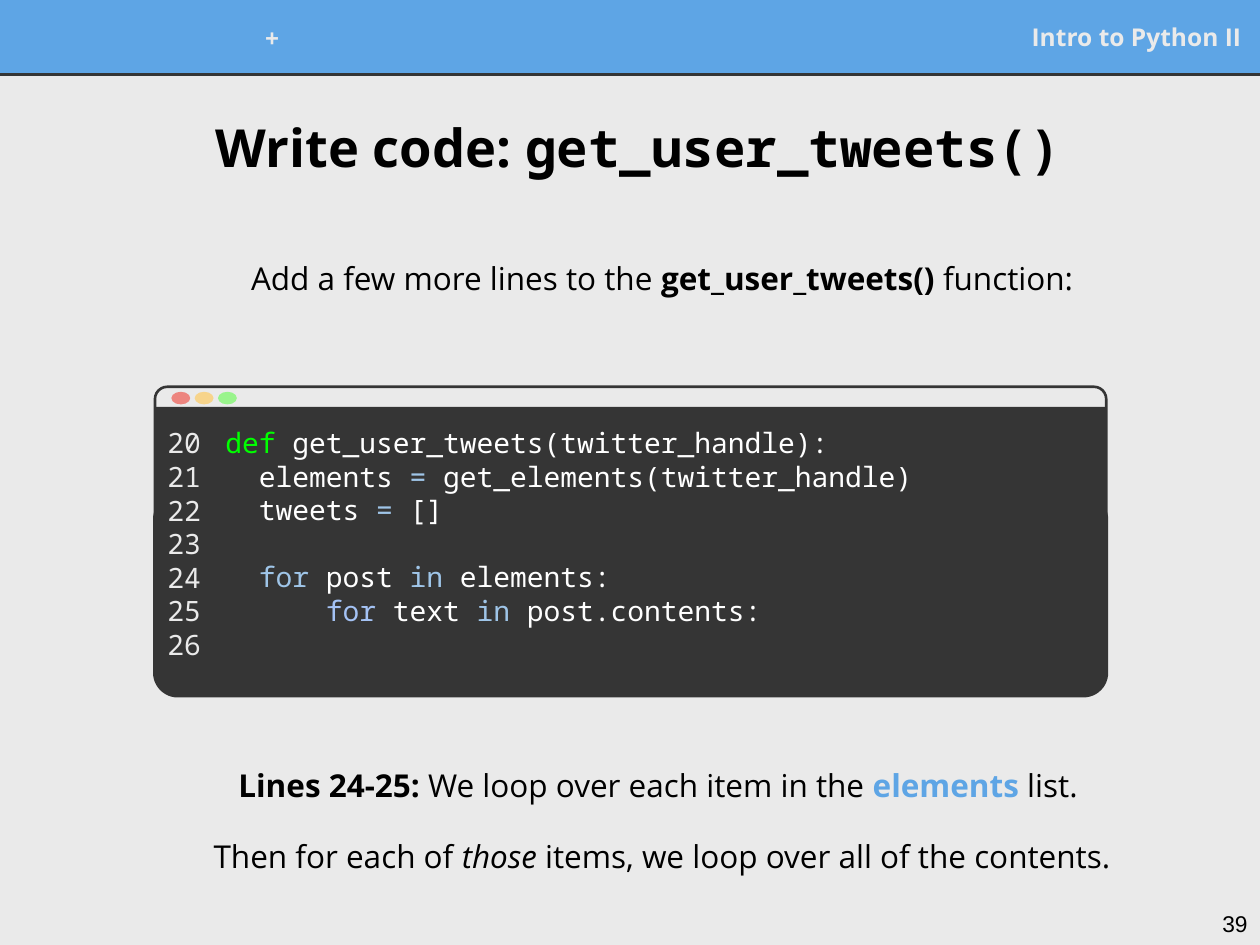
from typing import NamedTuple, Optional

from lxml.etree import SubElement
from pptx import Presentation
from pptx.dml.color import RGBColor
from pptx.enum.shapes import MSO_CONNECTOR, MSO_SHAPE
from pptx.enum.text import MSO_ANCHOR as Anchor, PP_ALIGN as Align
from pptx.oxml.ns import qn
from pptx.util import Inches, Pt

BLUE = RGBColor(0x5E, 0xA5, 0xE5)
DARK = RGBColor(0x35, 0x35, 0x35)
PALE = RGBColor(0xEA, 0xEA, 0xEA)
BLACK = RGBColor(0, 0, 0)
WHITE = RGBColor(0xFF, 0xFF, 0xFF)
GREEN = RGBColor(0, 0xFF, 0)
SKY = RGBColor(0x9F, 0xC5, 0xE8)
PERIWINKLE = RGBColor(0xA4, 0xC2, 0xF4)
BUTTON_COLORS = (
    RGBColor(0xED, 0x85, 0x7F),
    RGBColor(0xF7, 0xD4, 0x8B),
    RGBColor(0x99, 0xF4, 0x8C),
)
SANS = "Open Sans"
MONO = "Noto Sans Mono"


class Span(NamedTuple):
    """A run of text; unset fields take the format of its box."""
    text: str
    color: Optional[RGBColor] = None
    bold: Optional[bool] = None
    italic: Optional[bool] = None
    font: Optional[str] = None


class Line(NamedTuple):
    spans: list[Span]
    space_before: float = 0


class Area(NamedTuple):
    left: float
    top: float
    width: float
    height: float

    def lengths(self) -> list[int]:
        return [Inches(value) for value in self]


def add_text(shapes, area: Area, lines: list[Line], *, size: float,
             font: str = SANS, color: RGBColor = BLACK, bold: bool = False,
             align: Align = Align.LEFT, anchor: Anchor = Anchor.MIDDLE,
             indent: float = 0):
    frame = shapes.add_textbox(*area.lengths()).text_frame
    frame.word_wrap = True
    frame.vertical_anchor = anchor
    frame.margin_left = frame.margin_right = Inches(0.1)
    frame.margin_top = frame.margin_bottom = Inches(0.1)
    for index, line in enumerate(lines):
        para = frame.add_paragraph() if index else frame.paragraphs[0]
        para.alignment = align
        if line.space_before:
            para.space_before = Pt(line.space_before)
        if indent:
            properties = para._p.get_or_add_pPr()
            properties.set("marL", str(Inches(indent)))
            properties.set("indent", "0")
        for span in line.spans:
            run = para.add_run()
            run.text = span.text
            run.font.size = Pt(size)
            run.font.name = span.font or font
            run.font.color.rgb = span.color or color
            run.font.bold = bold if span.bold is None else span.bold
            run.font.italic = span.italic


def add_shape(shapes, kind: MSO_SHAPE, area: Area, *,
              fill: Optional[RGBColor] = None, line: Optional[RGBColor] = None,
              line_width: float = 0.75, corner: Optional[float] = None):
    shape = shapes.add_shape(kind, *area.lengths())
    shape.shadow.inherit = False
    if corner is not None:
        shape.adjustments[0] = corner
    if fill is None:
        shape.fill.background()
    else:
        shape.fill.solid()
        shape.fill.fore_color.rgb = fill
    if line is None:
        shape.line.fill.background()
    else:
        shape.line.color.rgb = line
        shape.line.width = Pt(line_width)


def add_header(shapes):
    add_shape(shapes, MSO_SHAPE.RECTANGLE, Area(0, 0, 10, 0.59),
              fill=BLUE, line=BLUE)
    rule = shapes.add_connector(MSO_CONNECTOR.STRAIGHT, Inches(0),
                                Inches(0.59), Inches(10), Inches(0.59))
    rule.line.color.rgb = DARK
    rule.line.width = Pt(1.5)
    SubElement(rule._element.spPr, qn("a:effectLst"))
    add_text(shapes, Area(6.24, 0.1, 3.71, 0.38),
             [Line([Span("Intro to Python II")])],
             size=14, color=PALE, bold=True, align=Align.RIGHT)
    add_text(shapes, Area(1.86, 0.11, 0.6, 0.38), [Line([Span("+")])],
             size=14, color=PALE, bold=True, align=Align.CENTER)


def add_code_window(shapes):
    left, width = 1.23, 7.55
    add_shape(shapes, MSO_SHAPE.ROUNDED_RECTANGLE, Area(left, 3.07, width, 1.77),
              line=DARK, line_width=1.5, corner=0.055)
    add_shape(shapes, MSO_SHAPE.RECTANGLE, Area(left, 3.23, width, 2.11),
              fill=DARK)
    add_shape(shapes, MSO_SHAPE.ROUNDED_RECTANGLE, Area(left, 3.94, width, 1.58),
              fill=DARK, line=DARK, line_width=2.25, corner=0.115)
    for index, color in enumerate(BUTTON_COLORS):
        add_shape(shapes, MSO_SHAPE.OVAL,
                  Area(1.36 + 0.185 * index, 3.11, 0.15, 0.1), fill=color)

    code = [
        Line([Span("def", GREEN), Span(" get_user_tweets(twitter_handle):")]),
        Line([Span("  elements "), Span("=", SKY),
              Span(" get_elements(twitter_handle)")]),
        Line([Span("  tweets "), Span("=", SKY), Span(" []")]),
        Line([Span("  "), Span("for ", SKY), Span("post "), Span("in", SKY),
              Span(" elements:")], space_before=19),
        Line([Span("      "), Span("for", PERIWINKLE), Span(" text "),
              Span("in ", SKY), Span("post.contents:")]),
    ]
    add_text(shapes, Area(1.69, 3.28, 6.42, 2.06), code,
             size=16, font=MONO, color=WHITE, anchor=Anchor.TOP)
    numbers = [Line([Span(str(number))]) for number in range(20, 27)]
    add_text(shapes, Area(left, 3.28, 0.74, 2.29), numbers,
             size=16, font=MONO, color=PALE, anchor=Anchor.TOP)


def main():
    deck = Presentation()
    deck.slide_width, deck.slide_height = Inches(10), Inches(7.5)
    page = deck.slides.add_slide(deck.slide_layouts[6])
    page.background.fill.solid()
    page.background.fill.fore_color.rgb = PALE
    shapes = page.shapes

    add_header(shapes)
    add_text(shapes, Area(9.4, 7.12, 0.6, 0.38), [Line([Span("39")])],
             size=13, font="Arial", align=Align.RIGHT, anchor=Anchor.TOP)
    add_text(shapes, Area(0.24, 0.71, 9.65, 0.9),
             [Line([Span("Write code: "), Span("get_user_tweets()", font=MONO)])],
             size=30, bold=True, align=Align.CENTER)
    add_text(shapes, Area(0.32, 1.85, 9.37, 0.71),
             [Line([Span("Add a few more lines to the "),
                    Span("get_user_tweets() ", bold=True), Span("function:")])],
             size=18, align=Align.CENTER, indent=0.5)
    add_code_window(shapes.add_group_shape().shapes)
    explanation = [
        Line([Span("Lines 24-25: ", bold=True),
              Span("We loop over each item in the "),
              Span("elements", BLUE, bold=True), Span(" list. ")]),
        Line([Span("Then for each of "), Span("those", italic=True),
              Span(" items, we loop over all of the contents.")],
             space_before=19),
    ]
    add_text(shapes, Area(0.32, 5.85, 9.37, 1.33), explanation,
             size=18, align=Align.CENTER, indent=0.5)
    deck.save("out.pptx")


if __name__ == "__main__":
    main()
